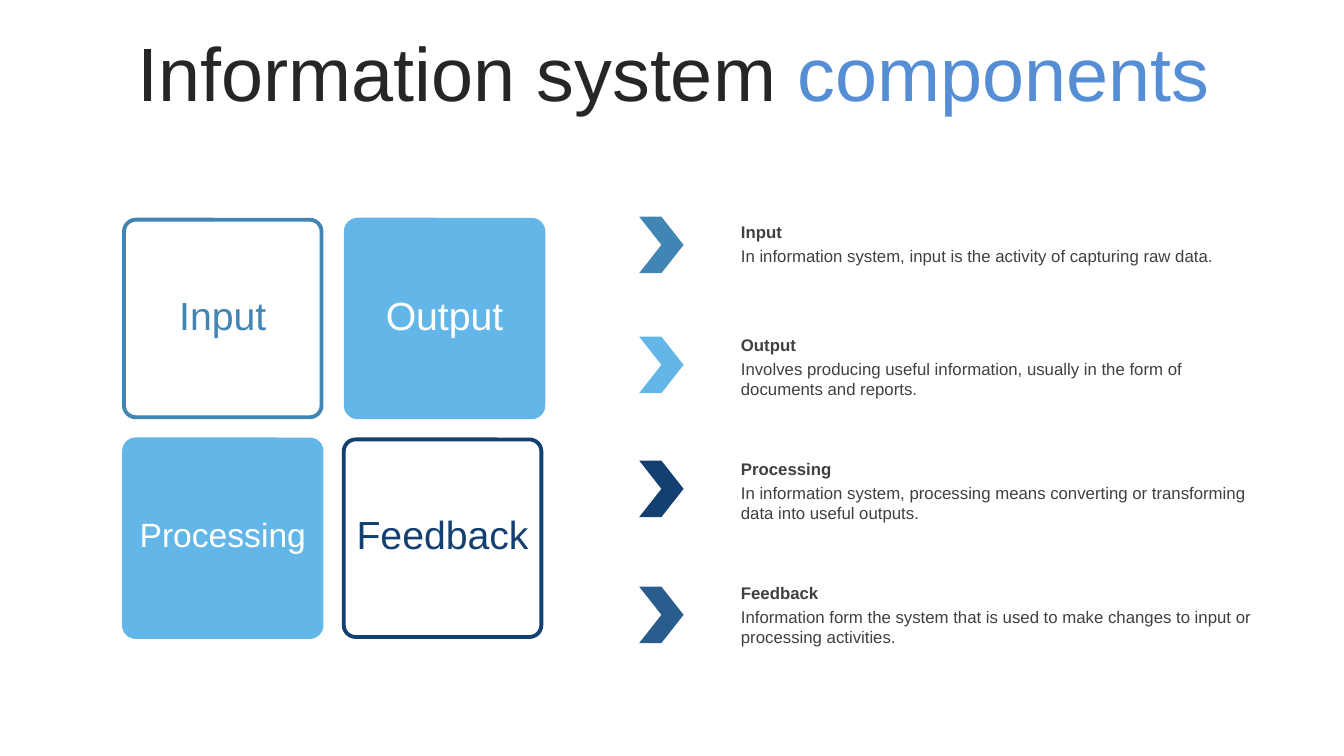
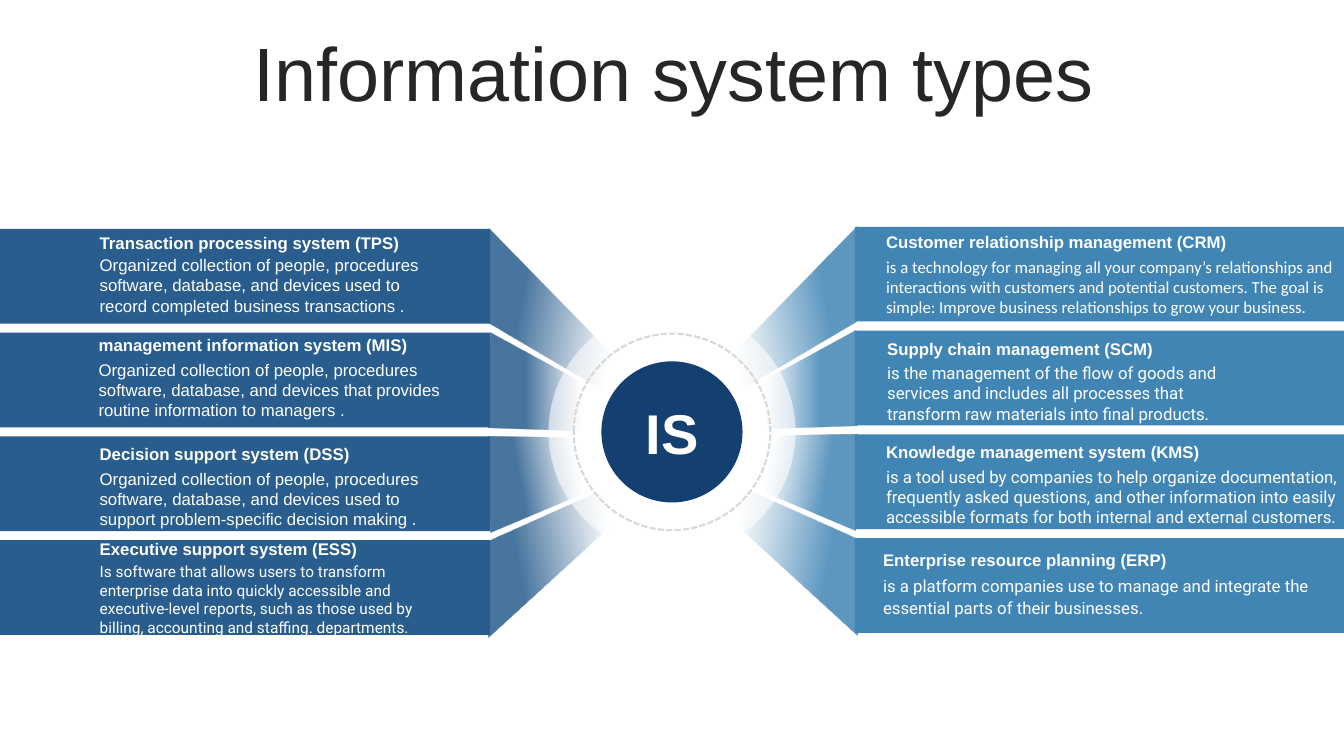
"""Builds two slides on the components and the types of information systems."""
from lxml.etree import SubElement
from pptx import Presentation
from pptx.dml.color import RGBColor as Rgb
from pptx.enum.dml import MSO_LINE as Dash
from pptx.enum.shapes import MSO_SHAPE as Kind
from pptx.enum.text import MSO_ANCHOR as Anchor, MSO_AUTO_SIZE as AutoSize, PP_ALIGN as Align
from pptx.oxml.ns import qn
from pptx.util import Inches, Pt

COLORS = {
    "white": "FFFFFF", "title": "262626", "accent": "558ED5", "body": "404040",
    "steel": "4185B5", "sky": "62B7E8", "navy": "134070", "denim": "285D8D",
    "ring": "D9D9D9",
}
CELL = Inches(0.1)
COLUMNS, ROWS = 133.3, 75


def grid(*cells):
    return [round(cell * CELL) for cell in cells]


def color(name):
    return Rgb.from_string(COLORS[name])


def write(paragraph, text, size=12, ink="white", font="Arial", bold=False):
    run = paragraph.add_run()
    run.text = text
    run.font.size = Pt(size)
    run.font.name = font
    run.font.bold = bold
    run.font.color.rgb = color(ink)


def set_alpha(shape, *percents):
    for node, percent in zip(shape._element.spPr.iter(qn("a:srgbClr")), percents):
        SubElement(node, qn("a:alpha"), val=str(percent * 1000))


class Deck:
    def __init__(self):
        self.presentation = Presentation()
        self.presentation.slide_width, self.presentation.slide_height = grid(COLUMNS, ROWS)
        self.slide = None

    def add_slide(self, *title_parts):
        self.slide = self.presentation.slides.add_slide(self.presentation.slide_layouts[5])
        title = self.slide.shapes.title
        title.left, title.top, title.width, title.height = grid(3.5, 3.7, 126.6, 7.9)
        frame = title.text_frame
        frame.auto_size = AutoSize.NONE
        frame.vertical_anchor = Anchor.MIDDLE
        paragraph = frame.paragraphs[0]
        paragraph.alignment = Align.CENTER
        paragraph.line_spacing = 0.9
        paragraph.space_before = Pt(10)
        for text, ink in title_parts:
            write(paragraph, text, size=54, ink=ink)

    def shape(self, kind, left, top, width, height, fill=None, line=None, weight=2.75):
        shape = self.slide.shapes.add_shape(kind, *grid(left, top, width, height))
        shape.shadow.inherit = False
        if fill:
            shape.fill.solid()
            shape.fill.fore_color.rgb = color(fill)
        else:
            shape.fill.background()
        if line:
            shape.line.color.rgb = color(line)
            shape.line.width = Pt(weight)
        else:
            shape.line.fill.background()
        return shape

    def label(self, shape, text, lift=0, **style):
        frame = shape.text_frame
        frame.margin_left = frame.margin_right = frame.margin_top = 0
        frame.margin_bottom = grid(lift)[0]
        frame.vertical_anchor = Anchor.MIDDLE
        frame.paragraphs[0].alignment = Align.CENTER
        write(frame.paragraphs[0], text, **style)

    def circle(self, center, diameter, **style):
        x, y = center
        return self.shape(Kind.OVAL, x - diameter / 2, y - diameter / 2, diameter, diameter, **style)

    def beam(self, points, fill, angle, clear_until):
        corners = [grid(*point) for point in points]
        builder = self.slide.shapes.build_freeform(*corners[0])
        builder.add_line_segments(corners[1:], close=True)
        shape = builder.convert_to_shape()
        shape.shadow.inherit = False
        shape.line.fill.background()
        shape.fill.gradient()
        shape.fill.gradient_angle = angle
        for stop, position in zip(shape.fill.gradient_stops, (clear_until, 0.8)):
            stop.position = position
            stop.color.rgb = color(fill)
        set_alpha(shape, 0, 85)

    def entry(self, left, top, width, height, heading, text, ink="white",
              gap=3, spacing=1.0, **style):
        box = self.slide.shapes.add_textbox(*grid(left, top, width, height))
        frame = box.text_frame
        frame.word_wrap = True
        frame.margin_right = 0
        write(frame.paragraphs[0], heading, ink=ink, bold=True)
        paragraph = frame.add_paragraph()
        paragraph.space_before = Pt(gap)
        paragraph.line_spacing = spacing
        write(paragraph, text, ink=ink, **style)


def build_components(deck):
    deck.add_slide(("Information system ", "title"), ("components", "accent"))
    tiles = [
        ("Input", 12.3, 21.8, "white", "steel", "steel", 28),
        ("Output", 34.3, 21.8, "sky", "sky", "white", 28),
        ("Processing", 12.3, 43.6, "sky", "sky", "white", 24),
        ("Feedback", 34.1, 43.6, "white", "navy", "navy", 28),
    ]
    for text, left, top, fill, line, ink, size in tiles:
        tile = deck.shape(Kind.ROUNDED_RECTANGLE, left, top, 19.6, 19.6, fill, line)
        tile.adjustments[0] = 0.06
        deck.label(tile, text, lift=0.8, size=size, ink=ink)

    entries = [
        ("Input", "In information system, input is the activity of capturing raw data.",
         "steel", 21.5, 21.5),
        ("Output", "Involves producing useful information, usually in the form of "
         "documents and reports.", "sky", 33.4, 32.7),
        ("Processing", "In information system, processing means converting or transforming "
         "data into useful outputs.", "navy", 45.7, 45),
        ("Feedback", "Information form the system that is used to make changes to input or "
         "processing activities.", "denim", 58.2, 57.3),
    ]
    for heading, text, fill, chevron_top, text_top in entries:
        deck.shape(Kind.CHEVRON, 63.4, chevron_top, 4.4, 5.6, fill)
        deck.entry(72.5, text_top, 52.9, 7.3, heading, text, ink="body")


def build_types(deck):
    deck.add_slide(("Information system types", "title"))
    beams = [
        ([(66.7, 41.2), (84.9, 22.5), (84.9, 31.9), (67.1, 42.4)], 10, 0.35),
        ([(66.6, 42.7), (84.8, 32.8), (85, 42.2), (66.7, 42.8)], 0, 0.5),
        ([(66.8, 43.4), (85, 43.1), (84.8, 52.6), (66.7, 45)], 350, 0.5),
        ([(66.8, 45.3), (85.1, 53.5), (85, 63), (66.8, 46.4)], 350, 0.35),
    ]
    for row, (points, angle, clear_until) in enumerate(beams):
        mirrored = [(133.5 - x, y + 0.2) for x, y in points]
        deck.beam(points, "steel", angle, clear_until)
        deck.beam(mirrored, "denim", (180 - angle) % 360, clear_until)
        top = 22.5 + 10.3 * row
        deck.shape(Kind.RECTANGLE, 84.8, top, COLUMNS - 84.8, 9.4, "steel")
        deck.shape(Kind.RECTANGLE, 0, top + 0.2, 48.6, 9.4, "denim")

    people = "Organized collection of people, procedures software, database, and devices "
    roboto = {"font": "Roboto"}
    entries = [
        (86.9, 22.5, 46.4, "Customer relationship management (CRM)",
         "is a technology for managing all your company’s relationships and interactions with "
         "customers and potential customers. The goal is simple: Improve business "
         "relationships to grow your business.", {"font": "Calibri", "gap": 3.5}),
        (87, 33.1, 37.5, "Supply chain management (SCM)",
         "is the management of the flow of goods and services and includes all processes that "
         "transform raw materials into final products.", roboto),
        (86.9, 43.3, 46.4, "Knowledge management system (KMS)",
         "is a tool used by companies to help organize documentation, frequently asked "
         "questions, and other information into easily accessible formats for both internal "
         "and external customers.", roboto | {"gap": 3.5}),
        (86.6, 54, 46.4, "Enterprise resource planning (ERP)",
         "is a platform companies use to manage and integrate the essential parts of their "
         "businesses.", roboto | {"gap": 3.5, "spacing": 1.07}),
        (8.9, 22.6, 34.5, "Transaction processing system (TPS)",
         people + "used to record completed business transactions .", {"gap": 1.5}),
        (8.8, 32.7, 35, "management information system (MIS)",
         people + "that provides routine information to managers .", {"gap": 3.5}),
        (8.9, 43.5, 35, "Decision support system (DSS)",
         people + "used to support problem-specific decision making .", {"gap": 3.5}),
        (8.9, 53, 34.5, "Executive support system (ESS)",
         "Is software that allows users to transform enterprise data into quickly accessible "
         "and executive-level reports, such as those used by billing, accounting and "
         "staffing. departments.", roboto | {"size": 11, "gap": 2}),
    ]
    for left, top, width, heading, text, style in entries:
        deck.entry(left, top, width, 9.5, heading, text, **style)

    hub = (66.65, 42.85)
    set_alpha(deck.circle(hub, 24.5, fill="white"), 57)
    disc = deck.circle(hub, 14, fill="navy")
    deck.label(disc, "IS", size=40, bold=True)
    ring = deck.circle(hub, 19.5, line="ring", weight=1.5)
    ring.line.dash_style = Dash.SQUARE_DOT


def main():
    deck = Deck()
    build_components(deck)
    build_types(deck)
    deck.presentation.save("out.pptx")


if __name__ == "__main__":
    main()
